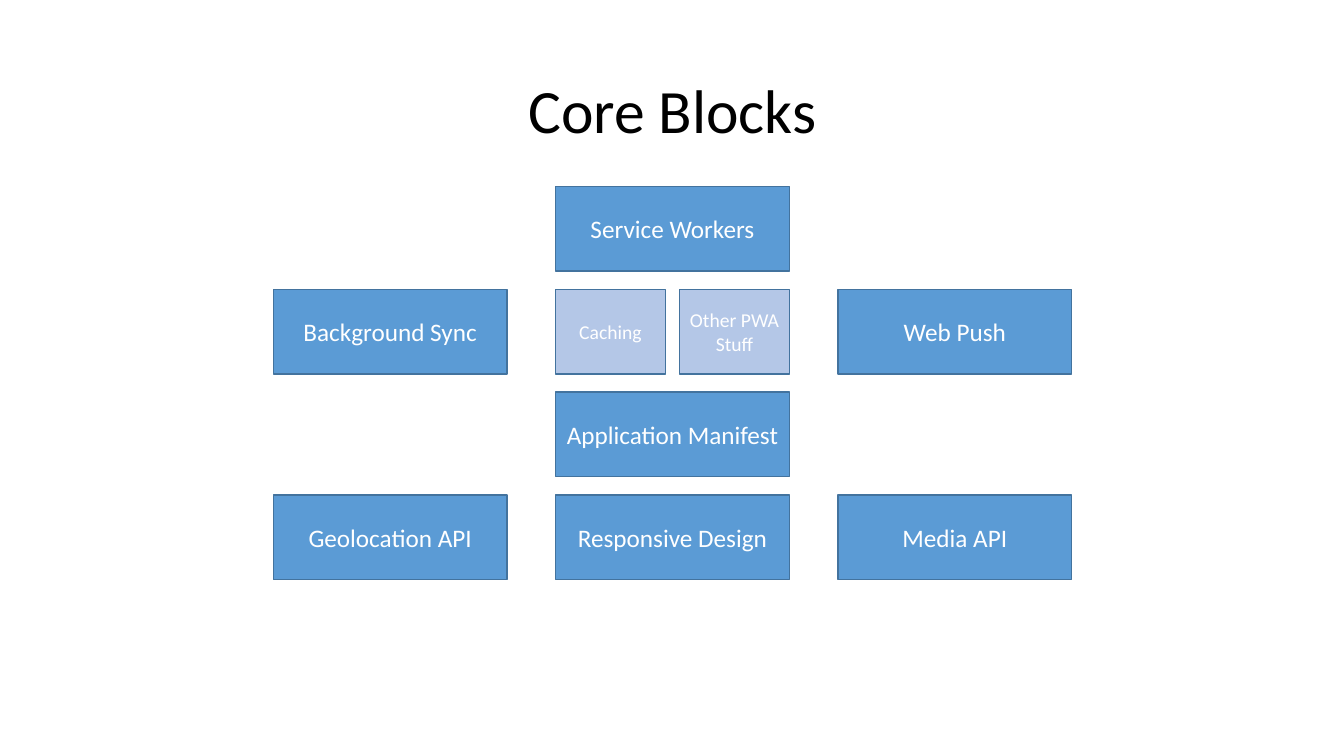
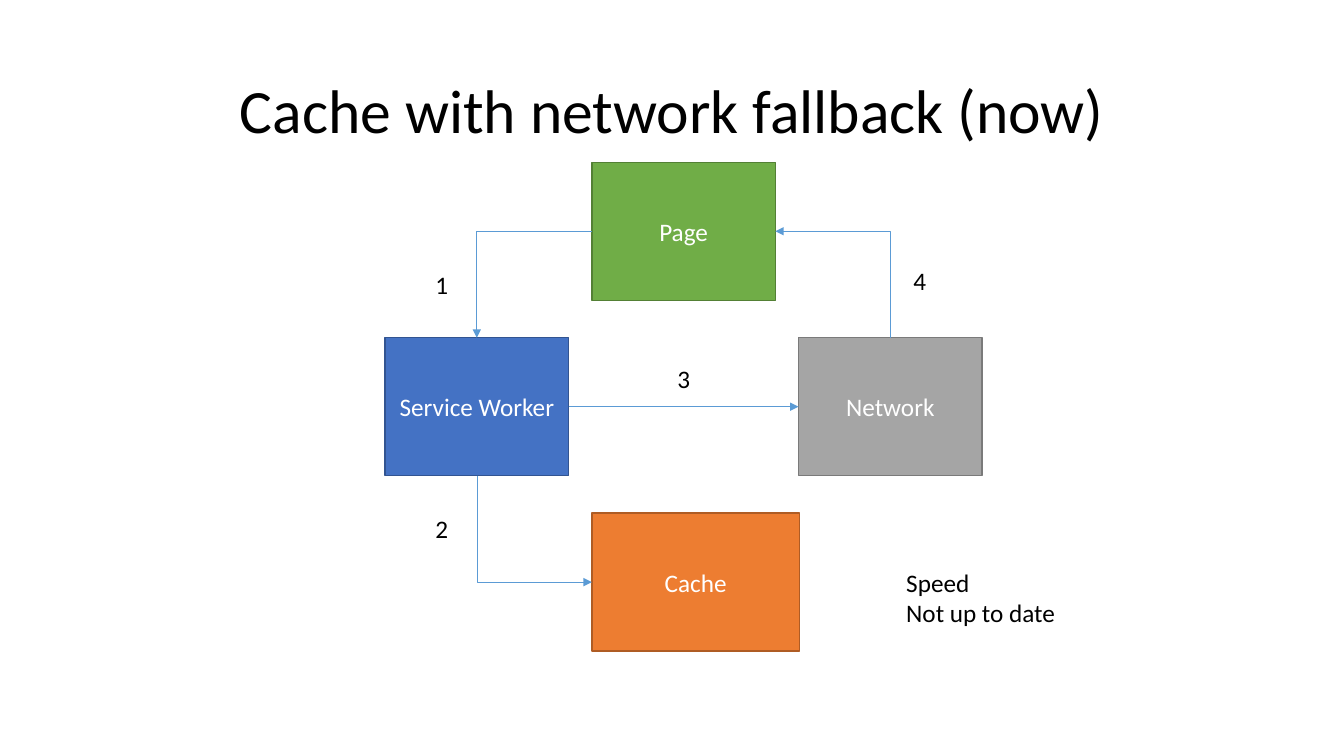
from dataclasses import dataclass

from lxml import etree
from pptx import Presentation
from pptx.dml.color import RGBColor
from pptx.enum.shapes import MSO_CONNECTOR, MSO_SHAPE
from pptx.enum.text import MSO_ANCHOR, MSO_AUTO_SIZE, PP_ALIGN
from pptx.oxml.ns import qn
from pptx.util import Inches, Pt

RECTANGLE = MSO_SHAPE.RECTANGLE
STRAIGHT, ELBOW = MSO_CONNECTOR.STRAIGHT, MSO_CONNECTOR.ELBOW
MIDDLE = MSO_ANCHOR.MIDDLE
LEFT_ALIGN, CENTER = PP_ALIGN.LEFT, PP_ALIGN.CENTER
NO_FIT, GROW = MSO_AUTO_SIZE.NONE, MSO_AUTO_SIZE.SHAPE_TO_FIT_TEXT
TITLE_ONLY = 5
# Connection sites of a rectangle
TOP, LEFT, BOTTOM, RIGHT = range(4)


@dataclass(frozen=True)
class Theme:
    font: str = "Calibri"
    title_size: int = 44
    body_size: int = 18
    small_size: int = 14
    ink: str = "000000"
    paper: str = "FFFFFF"
    # Each pair is fill and outline
    block: tuple = ("5B9BD5", "43739E")
    sub_block: tuple = ("B4C7E7", "43739E")
    green: tuple = ("70AD47", "538035")
    blue: tuple = ("4472C4", "325491")
    grey: tuple = ("A5A5A5", "7A7A7A")
    orange: tuple = ("ED7D31", "AF5C24")
    arrow: str = "5B9BD5"
    outline_width: float = 1
    arrow_width: float = 0.5


@dataclass(frozen=True)
class Box:
    left: float
    top: float
    width: float
    height: float

    def inside(self, left, top, width, height):
        """A box whose place is measured from this box's corner."""
        return Box(self.left + left, self.top + top, width, height)

    def lengths(self):
        return [Inches(side) for side in (self.left, self.top, self.width, self.height)]


THEME = Theme()
TITLE_BOX = Box(0.92, 0.4, 11.5, 1.45)


def write(frame, text, size=THEME.body_size, color=THEME.ink, align=LEFT_ALIGN, spacing=None):
    """Put text in a frame, one paragraph for each line."""
    for index, line in enumerate(text.split("\n")):
        para = frame.add_paragraph() if index else frame.paragraphs[0]
        para.alignment = align
        if spacing:
            para.line_spacing = spacing
        span = para.add_run()
        span.text = line
        span.font.name = THEME.font
        span.font.size = Pt(size)
        span.font.color.rgb = RGBColor.from_string(color)


def add_page(deck, title):
    page = deck.slides.add_slide(deck.slide_layouts[TITLE_ONLY])
    holder = page.shapes.title
    holder.left, holder.top, holder.width, holder.height = TITLE_BOX.lengths()
    frame = holder.text_frame
    frame.auto_size = NO_FIT
    frame.word_wrap = True
    frame.vertical_anchor = MIDDLE
    write(frame, title, size=THEME.title_size, align=CENTER, spacing=0.9)
    return page


def add_block(page, box, text, colors, size=THEME.body_size):
    fill, outline = colors
    block = page.shapes.add_shape(RECTANGLE, *box.lengths())
    block.shadow.inherit = False
    block.fill.solid()
    block.fill.fore_color.rgb = RGBColor.from_string(fill)
    block.line.color.rgb = RGBColor.from_string(outline)
    block.line.width = Pt(THEME.outline_width)
    block.text_frame.word_wrap = True
    block.text_frame.vertical_anchor = MIDDLE
    write(block.text_frame, text, size=size, color=THEME.paper, align=CENTER)
    return block


def add_label(page, box, text):
    label = page.shapes.add_textbox(*box.lengths())
    label.text_frame.word_wrap = False
    label.text_frame.auto_size = GROW
    write(label.text_frame, text)


def bend_once(connector, starts_sideways):
    """Turn an elbow connector into one with a single corner."""
    properties = connector.element.spPr
    properties.find(qn("a:prstGeom")).set("prst", "bentConnector2")
    if starts_sideways:
        return
    # A corner that starts up or down is a sideways one turned about its centre
    start_x, start_y = connector.begin_x, connector.begin_y
    across, down = connector.end_x - start_x, connector.end_y - start_y
    width, height = abs(down), abs(across)
    connector.left = start_x + (across - width) // 2
    connector.top = start_y + (down - height) // 2
    connector.width, connector.height = width, height
    frame = properties.find(qn("a:xfrm"))
    frame.set("rot", str((90 if down > 0 else 270) * 60000))
    frame.set("flipH", "0")
    frame.set("flipV", "1" if (down > 0) == (across > 0) else "0")


def add_arrow(page, source, source_side, target, target_side):
    sideways = (LEFT, RIGHT)
    straight = source_side in sideways and target_side in sideways
    connector = page.shapes.add_connector(STRAIGHT if straight else ELBOW, 0, 0, 0, 0)
    connector.begin_connect(source, source_side)
    connector.end_connect(target, target_side)
    if not straight:
        bend_once(connector, source_side in sideways)
    connector.line.color.rgb = RGBColor.from_string(THEME.arrow)
    connector.line.width = Pt(THEME.arrow_width)
    properties = connector.element.spPr
    etree.SubElement(properties.find(qn("a:ln")), qn("a:tailEnd"), type="triangle")
    etree.SubElement(properties, qn("a:effectLst"))


def add_block_grid(page, box):
    """Three columns of blocks; one cell is split in two."""
    width, height = 2.32, 0.84
    column_step = (box.width - width) / 2
    row_step = (box.height - height) / 3
    blocks = [
        (1, 0, "Service Workers"),
        (0, 1, "Background Sync"),
        (2, 1, "Web Push"),
        (1, 2, "Application Manifest"),
        (0, 3, "Geolocation API"),
        (1, 3, "Responsive Design"),
        (2, 3, "Media API"),
    ]
    for column, row, text in blocks:
        cell = box.inside(column * column_step, row * row_step, width, height)
        add_block(page, cell, text, THEME.block)

    # Split cell in the middle of the second row
    half = 1.09
    for index, text in enumerate(("Caching", "Other PWA Stuff")):
        left = column_step + index * (width - half)
        cell = box.inside(left, row_step, half, height)
        add_block(page, cell, text, THEME.sub_block, size=THEME.small_size)


def add_request_flow(page, box):
    """Four nodes, the numbered arrows between them and a remark."""
    width, height = 1.82, 1.37
    column_step = (box.width - width) / 2
    row_step = (box.height - height) / 2

    def node(column, row, text, colors, node_width=width):
        place = box.inside(column * column_step, row * row_step, node_width, height)
        return add_block(page, place, text, colors)

    # Nodes
    client = node(1, 0, "Page", THEME.green)
    worker = node(0, 1, "Service Worker", THEME.blue)
    network = node(2, 1, "Network", THEME.grey)
    cache = node(1, 2, "Cache", THEME.orange, node_width=2.06)

    # Arrows
    add_arrow(page, client, LEFT, worker, TOP)
    add_arrow(page, worker, BOTTOM, cache, LEFT)
    add_arrow(page, worker, RIGHT, network, LEFT)
    add_arrow(page, network, TOP, client, RIGHT)

    # Step numbers
    steps = [(0.4, 1.01), (0.4, 3.43), (2.8, 1.95), (5.14, 0.97)]
    for number, (left, top) in enumerate(steps, start=1):
        add_label(page, box.inside(left, top, 0.33, 0.4), str(number))

    # Remark
    add_label(page, box.inside(5.07, 3.97, 1.7, 0.71), "Speed\nNot up to date")


def main():
    deck = Presentation()
    deck.slide_width, deck.slide_height = Inches(13.33), Inches(7.5)
    add_block_grid(add_page(deck, "Core Blocks"), Box(2.71, 1.85, 7.92, 3.9))
    flow_page = add_page(deck, "Cache with network fallback (now)")
    add_request_flow(flow_page, Box(3.82, 1.61, 5.92, 4.85))
    deck.save("out.pptx")


if __name__ == "__main__":
    main()
